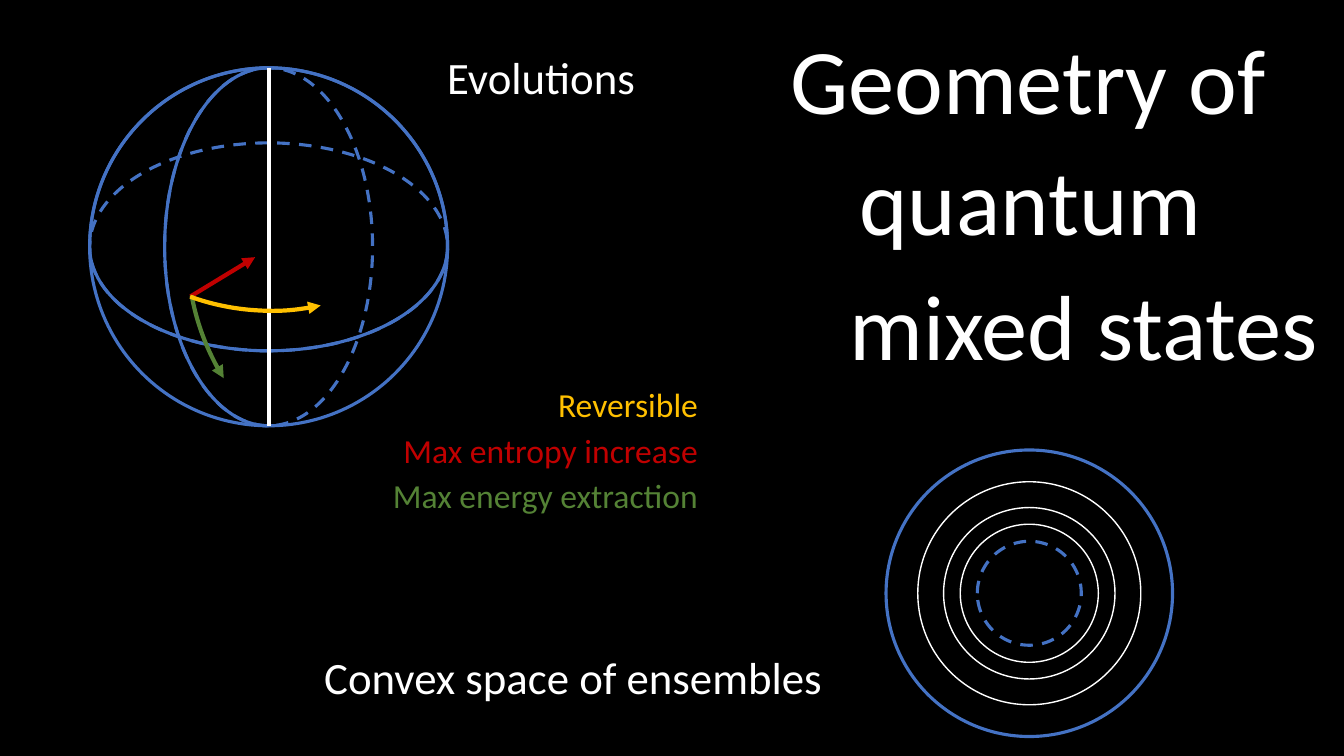
from lxml import etree
from pptx import Presentation
from pptx.dml.color import RGBColor
from pptx.enum.dml import MSO_LINE
from pptx.enum.shapes import MSO_CONNECTOR, MSO_SHAPE
from pptx.enum.text import MSO_AUTO_SIZE, PP_ALIGN
from pptx.oxml.ns import qn
from pptx.util import Cm, Pt

BLACK = RGBColor(0x00, 0x00, 0x00)
WHITE = RGBColor(0xFF, 0xFF, 0xFF)
BLUE = RGBColor(0x44, 0x72, 0xC4)
RED = RGBColor(0xC0, 0x00, 0x00)
GREEN = RGBColor(0x54, 0x82, 0x35)
GOLD = RGBColor(0xFF, 0xC0, 0x00)
DASH = MSO_LINE.DASH
OVAL = MSO_SHAPE.OVAL
ARC = MSO_SHAPE.ARC
STRAIGHT = MSO_CONNECTOR.STRAIGHT
LEFT = PP_ALIGN.LEFT
RIGHT = PP_ALIGN.RIGHT
GROW = MSO_AUTO_SIZE.SHAPE_TO_FIT_TEXT
BEND = 0.55
TOP = ((-1, 0), (-1, -BEND), (-BEND, -1), (0, -1), (BEND, -1), (1, -BEND), (1, 0))
SIDE = [(v, -u) for u, v in TOP]


class Board:
    """Draws styled text and line art on one slide."""

    font = "Calibri"

    def __init__(self, deck):
        self.slide = deck.slides.add_slide(deck.slide_layouts[6])
        fill = self.slide.background.fill
        fill.solid()
        fill.fore_color.rgb = BLACK
        self.group()

    def group(self):
        self.area = self.slide.shapes.add_group_shape().shapes

    def text(self, words, x, y, w, h, size, color=WHITE, align=LEFT):
        frame = self.slide.shapes.add_textbox(Cm(x), Cm(y), Cm(w), Cm(h)).text_frame
        frame.text = words
        frame.word_wrap = False
        frame.auto_size = GROW
        para = frame.paragraphs[0]
        para.alignment = align
        font = para.runs[0].font
        font.name, font.size = self.font, Pt(size)
        font.color.rgb = color

    def stroke(self, shape, color, width, dash=None, head=None):
        shape.line.color.rgb = color
        shape.line.width = Pt(width)
        if dash:
            shape.line.dash_style = dash
        props = shape.element.spPr
        if head:
            end = etree.SubElement(props.find(qn("a:ln")), qn(head))
            end.set("type", "triangle")
        etree.SubElement(props, qn("a:effectLst"))

    def oval(self, x, y, rx, ry, color=BLUE, width=2.25, dash=None, kind=OVAL, head=None):
        shape = self.area.add_shape(kind, Cm(x - rx), Cm(y - ry), Cm(2 * rx), Cm(2 * ry))
        shape.fill.background()
        self.stroke(shape, color, width, dash, head)
        return shape

    def arc(self, x, y, r, turn, start, stop, color):
        shape = self.oval(x, y, r, r, color, 3, kind=ARC, head="a:headEnd")
        shape.rotation = turn
        shape.adjustments[0] = start
        shape.adjustments[1] = stop

    def half(self, x, y, rx, ry, form):
        dots = [(Cm(x + rx * u), Cm(y + ry * v)) for u, v in form]
        pen = self.area.build_freeform(*dots[0])
        pen.add_line_segments(dots[1:], close=False)
        shape = pen.convert_to_shape()
        shape.fill.background()
        self.stroke(shape, BLUE, 2.25)
        track = next(shape.element.iter(qn("a:path")))
        for i, leg in enumerate(track.findall(qn("a:lnTo"))):
            if i % 3 == 0:
                curve = etree.SubElement(track, qn("a:cubicBezTo"))
            curve.append(leg[0])
            track.remove(leg)
        return shape

    def line(self, x1, y1, x2, y2, color, head=None):
        shape = self.area.add_connector(STRAIGHT, Cm(x1), Cm(y1), Cm(x2), Cm(y2))
        self.stroke(shape, color, 3, head=head)


def main():
    deck = Presentation()
    deck.slide_width, deck.slide_height = Cm(33.87), Cm(19.05)
    board = Board(deck)

    x, y, r, flat = 6.77, 6.22, 4.51, 2.62
    board.oval(x, y, r, r, WHITE, 1)
    board.half(x, y, r, r, TOP)
    board.oval(x, y, r, r)
    board.oval(x, y, flat, r, dash=DASH)
    board.half(x, y, flat, r, SIDE)
    board.oval(x, y, flat, r, dash=DASH).rotation = 270
    board.half(x + flat / 2, y + flat / 2, flat, r, SIDE).rotation = 270
    board.line(x, y - r, x, y + r, WHITE)
    board.line(4.8, 7.47, 6.43, 6.48, RED, "a:tailEnd")
    board.arc(10.71, 6.36, 5.98, 213.5, 176.7, 189.63, GREEN)
    board.arc(6.82, 1.85, 5.98, 153.8, 170.43, 189.63, GOLD)

    board.group()
    board.oval(25.94, 14.95, 1.31, 1.31, dash=DASH)
    for ring in (2.16, 1.74):
        board.oval(25.94, 14.95, ring, ring, WHITE, 1)
    board.oval(25.94, 14.95, 3.61, 3.61)
    board.oval(25.94, 14.95, 2.81, 2.81, WHITE, 1)

    board.text("Geometry of", 19.67, 0.43, 13.69, 3.07, 66)
    board.text("quantum", 21.41, 3.48, 10.21, 3.07, 66)
    board.text("mixed states", 19.59, 6.63, 13.87, 3.07, 66, align=RIGHT)
    board.text("Evolutions", 11.02, 1.12, 6.02, 1.63, 32)
    board.text("Convex space of ensembles", 7.92, 16.24, 14.38, 1.63, 32)
    legend = (
        ("Reversible", 4.57, GOLD),
        ("Max entropy increase", 8.81, RED),
        ("Max energy extraction", 9.42, GREEN),
    )
    for i, (words, w, color) in enumerate(legend):
        board.text(words, 17.84 - w, 9.56 + 1.14 * i, w, 1.27, 24, color, RIGHT)

    deck.save("out.pptx")


if __name__ == "__main__":
    main()
